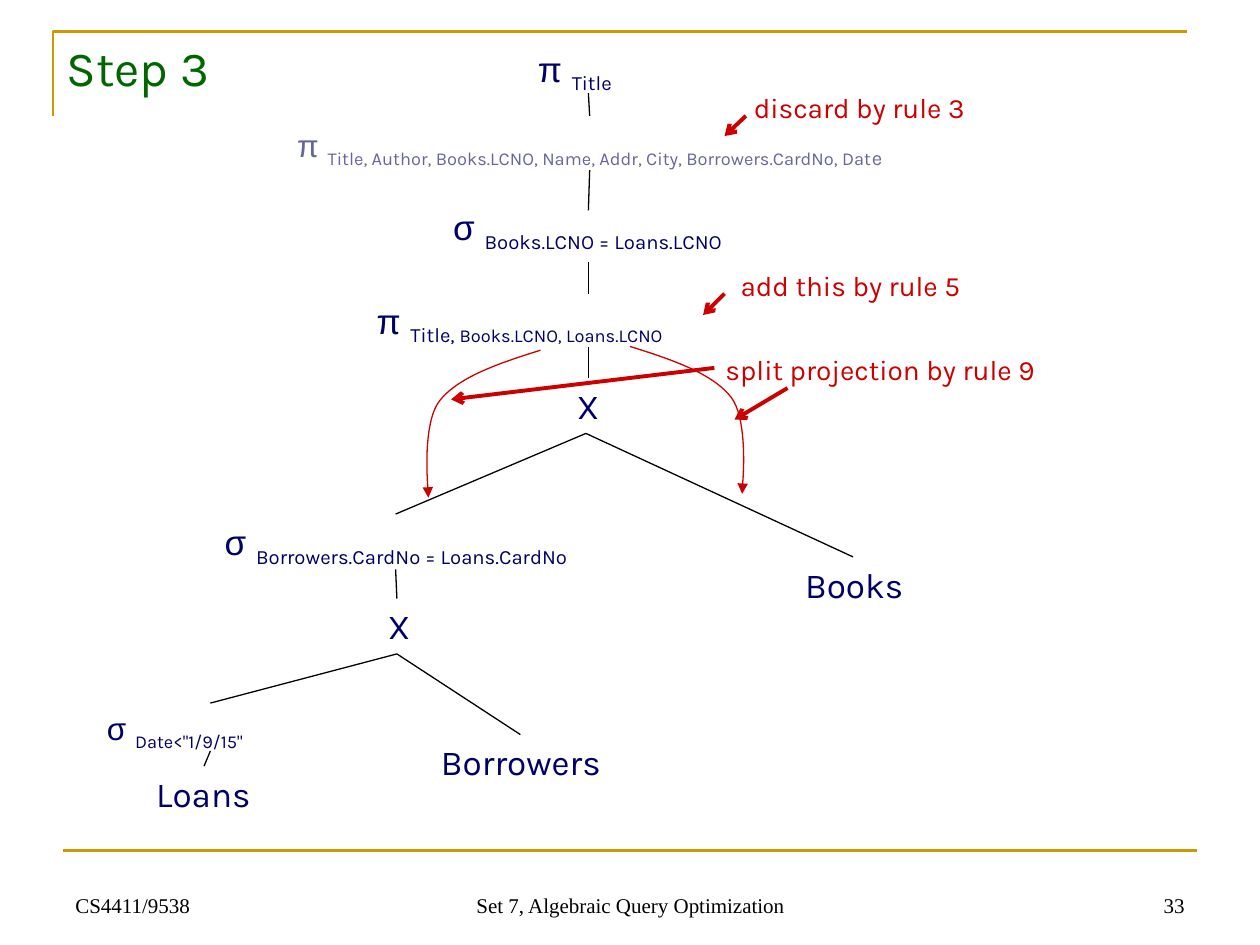
from dataclasses import dataclass

from lxml import etree
from pptx import Presentation
from pptx import util as u
from pptx.dml.color import RGBColor
from pptx.enum import shapes, text
from pptx.oxml import ns


@dataclass(frozen=True)
class Theme:
    """Colours, fonts and type sizes of the slide."""
    gold: str = "CC9900"
    green: str = "006600"
    navy: str = "000066"
    faded: str = "666699"
    red: str = "CC0000"
    black: str = "000000"
    sans: str = "Karla"
    greek: str = "Arial"
    serif: str = "Times New Roman"
    head: int = 28
    node: int = 20
    small: int = 18
    note: int = 16
    foot: int = 12
    thin: float = 0.75
    rule: float = 1.5
    bold: float = 2.25


T = Theme()
LEFT, MID, RIGHT = text.PP_ALIGN.LEFT, text.PP_ALIGN.CENTER, text.PP_ALIGN.RIGHT


def cm(inch):
    """Turn inches into a Cm length."""
    return u.Cm(inch * 2.54)


def sub(parent, tag, **attrs):
    """Append an empty drawing element."""
    return etree.SubElement(parent, ns.qn(tag), **attrs)


def label(slide, box, runs, size, color, align=MID, wrap=False, lead=None, foot=False):
    """Add a one-line text box; each run is (words, font, size or None, lowered)."""
    frame = slide.shapes.add_textbox(*map(cm, box)).text_frame
    frame.word_wrap = wrap
    if foot:
        frame.vertical_anchor = text.MSO_ANCHOR.BOTTOM
    else:
        frame.auto_size = text.MSO_AUTO_SIZE.SHAPE_TO_FIT_TEXT
    para = frame.paragraphs[0]
    para.alignment = align
    if lead:
        para.line_spacing = lead
    for words, face, own, low in runs:
        run = para.add_run()
        run.text = words
        run.font.name = face
        run.font.size = u.Pt(own or size)
        run.font.color.rgb = RGBColor.from_string(color)
        if low:
            run.font._element.set("baseline", "-25000")


def plain(slide, box, words, size=T.node, color=T.navy, face=T.sans, **opts):
    """Add a label set in one font."""
    label(slide, box, [(words, face, None, False)], size, color, **opts)


def algebra(slide, box, sign, subs, size=T.node, color=T.navy, **opts):
    """Add an operator sign followed by subscript parts of (words, size)."""
    runs = [(sign + " ", T.greek, None, False)]
    runs += [(words, T.sans, own, True) for words, own in subs]
    label(slide, box, runs, size, color, **opts)


def stroke(shape, color, width, tip=None):
    """Set the line of a shape and its arrowhead."""
    shape.line.color.rgb = RGBColor.from_string(color)
    shape.line.width = u.Pt(width)
    if tip:
        sub(shape.line._get_or_add_ln(), "a:tailEnd", type=tip)


def edge(slide, start, end, color=T.black, width=T.thin, tip=None):
    """Add a straight line from start to end."""
    line = slide.shapes.add_connector(
        shapes.MSO_CONNECTOR.STRAIGHT, *map(cm, (*start, *end)))
    stroke(line, color, width, tip)
    sub(line._element.spPr, "a:effectLst")


def trace(slide, points, color, width, tip=None):
    """Add an open unfilled outline through the points."""
    first, *rest = [(cm(x), cm(y)) for x, y in points]
    build = slide.shapes.build_freeform(*first)
    build.add_line_segments(rest, close=False)
    shape = build.convert_to_shape()
    shape.fill.background()
    shape.shadow.inherit = False
    stroke(shape, color, width, tip)


def bend(a, b, c, d, steps=20):
    """Return points along a cubic curve, without its start."""
    def mix(t, p, q, r, s):
        """Weigh four control values at t."""
        v = 1 - t
        return v**3 * p + 3 * v * v * t * q + 3 * v * t * t * r + t**3 * s
    return [tuple(mix(i / steps, *axis) for axis in zip(a, b, c, d))
            for i in range(1, steps + 1)]


def swoop(slide, start, side):
    """Add a curved arrow that bows to one side and then falls."""
    def at(dx, dy):
        """Place an offset from the start."""
        return start[0] + side * dx, start[1] + dy
    knee, base = at(0.8, 0.4), at(0.89, 1.14)
    points = [start, *bend(start, at(0.32, 0.1), at(0.65, 0.21), knee),
              *bend(knee, at(0.95, 0.59), base, base), at(0.89, 1.17)]
    trace(slide, points, T.red, T.thin, "triangle")


def frame(slide):
    """Add the gold rules, the footers and the heading."""
    trace(slide, [(0.42, 0.92), (0.42, 0.25), (9.42, 0.25)], T.gold, T.rule)
    edge(slide, (0.5, 6.75), (9.5, 6.75), T.gold, T.rule)
    for x, w, words, align in ((0.5, 2.33, "CS4411/9538", LEFT),
                               (3.42, 3.17, "Set 7, Algebraic Query Optimization", MID),
                               (7.17, 2.33, "33", RIGHT)):
        plain(slide, (x, 6.83, w, 0.5), words, T.foot, T.black, T.serif,
              align=align, wrap=True, foot=True)
    plain(slide, (0.43, 0.25, 1.33, 0.57), "Step 3", T.head, T.green)


def tree(slide):
    """Add the operators, the relations and the edges between them."""
    flow = dict(align=LEFT, wrap=True, lead=0.9)
    algebra(slide, (4.17, 0.33, 1.01, 0.44), "π", [("Title", None)], **flow)
    algebra(slide, (2.09, 0.92, 5.18, 0.48), "π",
            [("Title, Author, Books.LCNO, Name, Addr, City, Borrowers.CardNo, Dat", None),
             ("e", T.node)], T.small, T.faded)
    algebra(slide, (3.42, 1.58, 2.49, 0.48), "σ", [("Books.LCNO = Loans.LCNO", None)])
    algebra(slide, (2.89, 2.33, 3.38, 0.44), "π",
            [("Title, ", None), ("Books.LCNO, Loans.LCNO", T.small)], **flow)
    algebra(slide, (1.59, 4.08, 3.11, 0.48), "σ",
            [("Borrowers.CardNo = Loans.CardNo", None)])
    algebra(slide, (0.75, 5.58, 1.83, 0.41), "σ",
            [('Date<"1/9/15"', None)], T.small, **flow)
    for x, y, w, words in ((4.48, 3, 0.34, "X"), (2.98, 4.75, 0.34, "X"),
                           (3.35, 5.83, 1.57, "Borrowers"), (6.28, 4.42, 1, "Books"),
                           (1.13, 6.08, 0.97, "Loans")):
        plain(slide, (x, y, w, 0.44), words, wrap=words == "X")
    top, low = (4.65, 3.44), (3.15, 5.19)
    for start, end in (((4.67, 0.74), (4.68, 0.92)), ((4.68, 1.35), (4.67, 1.67)),
                       ((4.67, 2.08), (4.67, 2.33)), ((4.67, 2.75), (4.67, 3)),
                       (top, (3.14, 4.08)), (top, (6.77, 4.42)),
                       ((3.14, 4.52), (3.15, 4.75)),
                       (low, (1.67, 5.58)), (low, (4.13, 5.83)),
                       ((1.67, 5.96), (1.62, 6.08))):
        edge(slide, start, end)


def notes(slide):
    """Add the red remarks and their arrows."""
    for x, y, w, words in ((5.86, 0.67, 1.92, "discard by rule 3"),
                           (5.75, 2.08, 2, "add this by rule 5"),
                           (5.63, 2.75, 2.71, "split projection by rule 9")):
        plain(slide, (x, y, w, 0.37), words, T.note, T.red)
    swoop(slide, (4.29, 2.78), -1)
    swoop(slide, (5, 2.75), 1)
    for start, end in (((5.92, 0.92), (5.75, 1.08)), ((5.75, 2.33), (5.58, 2.5)),
                       ((5.67, 2.92), (3.58, 3.17)), ((6.25, 3.08), (5.83, 3.33))):
        edge(slide, start, end, T.red, T.bold, "arrow")


def main():
    """Build and save the slide."""
    deck = Presentation()
    deck.slide_width, deck.slide_height = u.Cm(25.4), u.Cm(19.05)
    slide = deck.slides.add_slide(deck.slide_layouts[6])
    for part in (frame, tree, notes):
        part(slide)
    deck.save("out.pptx")


if __name__ == "__main__":
    main()
